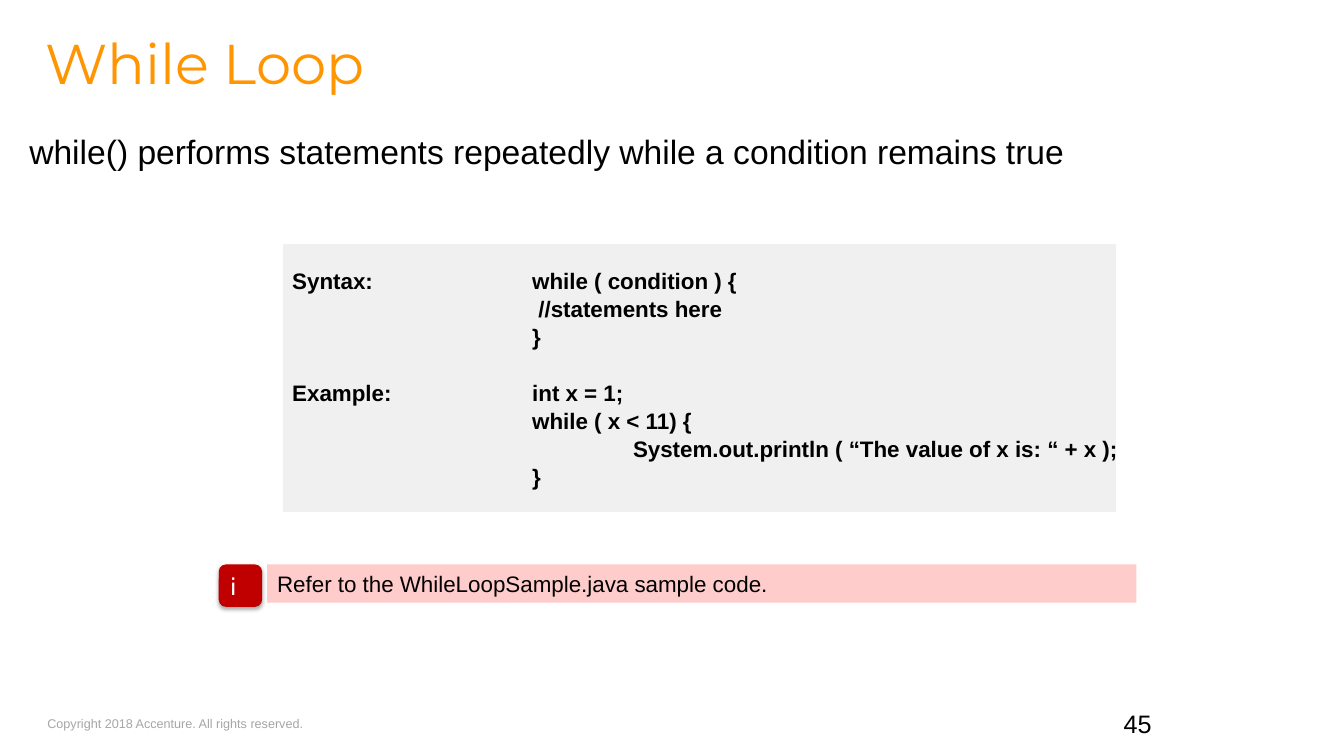
from lxml.etree import SubElement
from pptx import Presentation
from pptx.dml.color import RGBColor
from pptx.enum.shapes import MSO_SHAPE
from pptx.enum.text import MSO_ANCHOR, MSO_AUTO_SIZE, PP_ALIGN
from pptx.oxml.ns import qn
from pptx.util import Inches, Pt

CODE = {"size": Pt(16), "bold": True}
TAB_STOPS = (2.38, 3.38)
CODE_LINES = [
    "Syntax:\twhile ( condition ) {",
    "\t //statements here",
    "\t}",
    "Example:\tint x = 1;",
    "\twhile ( x < 11) {",
    "\t\tSystem.out.println ( “The value of x is: “ + x );",
    "\t}",
]


def rgb(hex_color):
    return RGBColor.from_string(hex_color)


def place(sp, box):
    sp.left, sp.top, sp.width, sp.height = (Inches(v) for v in box)


def set_frame(sp, insets=(0.1, 0.05, 0.1, 0.05), anchor=MSO_ANCHOR.TOP, wrap=True):
    tf = sp.text_frame
    sides = ("margin_left", "margin_top", "margin_right", "margin_bottom")
    for side, inset in zip(sides, insets):
        setattr(tf, side, Inches(inset))
    tf.auto_size = MSO_AUTO_SIZE.NONE
    tf.vertical_anchor = anchor
    tf.word_wrap = wrap
    return tf


def write(p, text, fmt, color="000000", align=PP_ALIGN.LEFT):
    p.alignment = align
    r = p.add_run()
    r.text = text
    for name, value in {"name": "Arial", **fmt}.items():
        setattr(r.font, name, value)
    r.font.color.rgb = rgb(color)


def add_panel(slide, kind, box, fill):
    sp = slide.shapes.add_shape(kind, *(Inches(v) for v in box))
    sp.shadow.inherit = False
    sp.fill.solid()
    sp.fill.fore_color.rgb = rgb(fill)
    sp.line.fill.background()
    return sp


def add_heading(slide, box):
    sp = slide.shapes.title
    place(sp, box)
    p = set_frame(sp, (0, 0, 0, 0)).paragraphs[0]
    p.line_spacing = 0.8
    write(p, "While Loop", {"name": "Montserrat", "size": Pt(40)}, "FF9500")


def add_body(slide, box):
    sp = slide.placeholders[1]
    place(sp, box)
    p = set_frame(sp).paragraphs[0]
    pPr = p._p.get_or_add_pPr()
    pPr.set("marL", "0")
    pPr.set("indent", "0")
    SubElement(pPr, qn("a:buNone"))
    p.space_before = Pt(0)
    write(p, "while() performs statements repeatedly while a condition remains true",
          {"size": Pt(24)})


def add_code(slide, box):
    sp = add_panel(slide, MSO_SHAPE.RECTANGLE, box, "F1F0F0")
    sp.line.color.rgb = rgb("FFFFFF")
    sp.line.width = Pt(1.5)
    tf = set_frame(sp, anchor=MSO_ANCHOR.MIDDLE, wrap=False)
    for i, line in enumerate(CODE_LINES):
        p = tf.add_paragraph() if i else tf.paragraphs[0]
        tabs = SubElement(p._p.get_or_add_pPr(), qn("a:tabLst"))
        for stop in TAB_STOPS:
            SubElement(tabs, qn("a:tab"), pos=str(Inches(stop)), algn="l")
        p.line_spacing = 1.05
        if line.startswith("Example"):
            p.space_before = Pt(19.3)
        write(p, line, CODE)


def add_note(slide, box):
    left, top, width, height = box
    # Pink bar
    bar = add_panel(slide, MSO_SHAPE.RECTANGLE, (left + 0.48, top, width - 0.48, height), "FFCCCC")
    tf = set_frame(bar, (0.1, 0.1, 0.1, 0.1), MSO_ANCHOR.MIDDLE)
    write(tf.paragraphs[0], "Refer to the WhileLoopSample.java sample code.", {"size": Pt(16)})
    # Red info badge with a soft shadow
    badge = add_panel(slide, MSO_SHAPE.ROUNDED_RECTANGLE, (left, top, 0.43, 0.42), "C00000")
    effects = badge._element.spPr.find(qn("a:effectLst"))
    shadow = SubElement(effects, qn("a:outerShdw"), blurRad=str(Pt(3.1)), dist=str(Pt(1.8)),
                        dir="5400000", rotWithShape="0")
    black = SubElement(shadow, qn("a:srgbClr"), val="000000")
    SubElement(black, qn("a:alpha"), val="35000")
    tf = set_frame(badge, anchor=MSO_ANCHOR.MIDDLE)
    write(tf.paragraphs[0], "i", {"name": "Cabin", "size": Pt(18)}, "FFFFFF")


def add_footer(slide, box):
    left, top, width, height = box
    # Copyright line
    sp = slide.shapes.add_textbox(*(Inches(v) for v in (left, top, 2.57, height)))
    tf = set_frame(sp, (0, 0.05, 0, 0.05), wrap=False)
    write(tf.paragraphs[0], "Copyright 2018 Accenture. All rights reserved.",
          {"size": Pt(9)}, "A6A6A6")
    # Slide number
    number_box = (left + width - 1.85, top + 0.03, 1.85, 0.3)
    sp = slide.shapes.add_textbox(*(Inches(v) for v in number_box))
    tf = set_frame(sp, anchor=MSO_ANCHOR.BOTTOM)
    write(tf.paragraphs[0], "45", {"size": Pt(18)}, align=PP_ALIGN.RIGHT)


def main():
    prs = Presentation()
    prs.slide_width, prs.slide_height = Inches(13.33), Inches(7.5)
    slide = prs.slides.add_slide(prs.slide_layouts[1])
    add_footer(slide, (0.47, 7.05, 11.05, 0.25))
    add_heading(slide, (0.45, 0.41, 8.32, 1.09))
    add_body(slide, (0.19, 1.25, 10.73, 5.83))
    add_code(slide, (2.8, 2.41, 8.28, 2.68))
    add_note(slide, (2.17, 5.6, 9.1, 0.38))
    prs.save("out.pptx")


if __name__ == "__main__":
    main()
